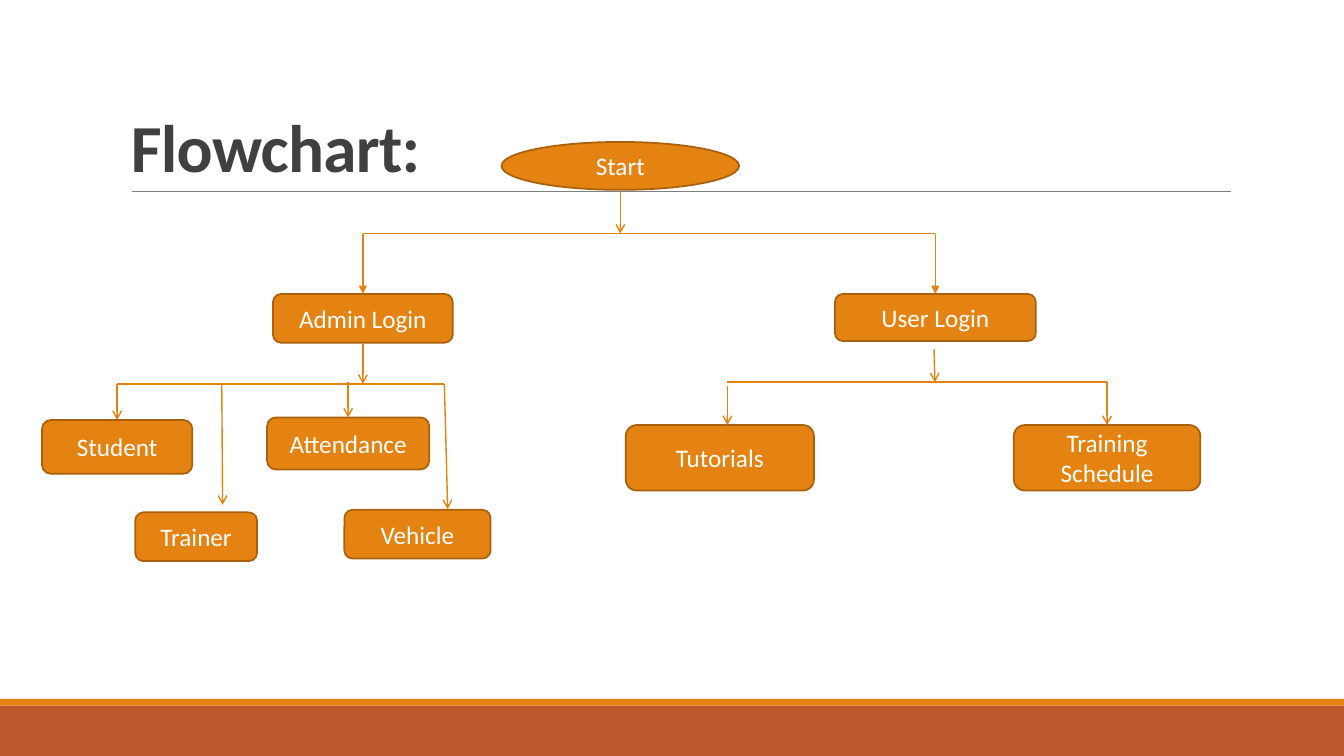
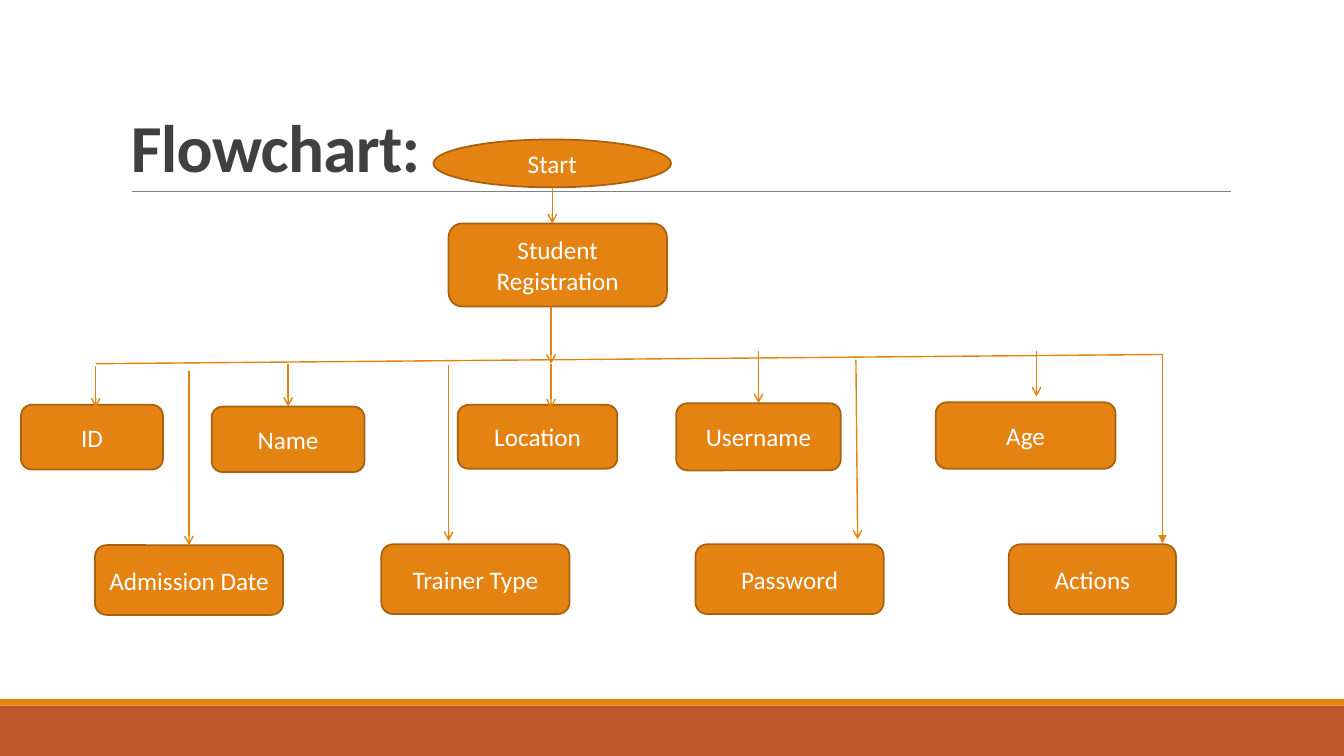
from dataclasses import dataclass

from lxml.etree import SubElement
from pptx import Presentation
from pptx.dml.color import RGBColor
from pptx.enum.shapes import MSO_CONNECTOR, MSO_SHAPE
from pptx.enum.text import MSO_ANCHOR, PP_ALIGN
from pptx.oxml.ns import qn
from pptx.util import Emu, Inches, Pt

COLUMNS, ROWS = 160, 90
CELL = Inches(1 / 12)
TOP, BOTTOM, OVAL_BOTTOM = 0, 2, 4


@dataclass(frozen=True)
class Theme:
    font: str = "Calibri"
    title_size: float = 48
    node_size: float = 18
    title: str = "404040"
    rule: str = "808080"
    accent: str = "E48312"
    node_edge: str = "A9610D"
    footer: str = "BD582C"
    on_accent: str = "FFFFFF"
    rule_width: float = 0.5
    arrow_width: float = 1
    edge_width: float = 1.25


def cells(*counts):
    """Turn grid columns or rows into slide lengths."""
    return [Emu(round(count * CELL)) for count in counts]


def middle(node):
    """Column of the node's vertical axis."""
    return (node.left + node.width / 2) / CELL


class FlowchartDeck:
    def __init__(self, theme):
        self.theme = theme
        self.deck = Presentation()
        self.deck.slide_width, self.deck.slide_height = cells(COLUMNS, ROWS)
        self.page = None

    def new_page(self, title):
        self.page = self.deck.slides.add_slide(self.deck.slide_layouts[6])
        self.shape(MSO_SHAPE.RECTANGLE, (0, 84, COLUMNS, 6), self.theme.footer)
        self.shape(MSO_SHAPE.RECTANGLE, (0, 83.2, COLUMNS, 0.8), self.theme.accent)
        self.line((15.7, 22.8), (146.5, 22.8), color=self.theme.rule,
                  width=self.theme.rule_width)
        self.title(title)

    def set_text(self, shape, text, size, color, anchor, align, bold=False):
        frame = shape.text_frame
        frame.word_wrap = True
        frame.vertical_anchor = anchor
        frame.text = text
        para = frame.paragraphs[0]
        para.alignment = align
        span = para.runs[0]
        span.font.name = self.theme.font
        span.font.size = Pt(size)
        span.font.bold = bold
        span.font.color.rgb = RGBColor.from_string(color)
        return para

    def title(self, text):
        box = self.page.shapes.add_textbox(*cells(14.4, 3.7, 132, 19.1))
        para = self.set_text(box, text, self.theme.title_size, self.theme.title,
                             MSO_ANCHOR.BOTTOM, PP_ALIGN.LEFT, bold=True)
        para.line_spacing = 0.85
        para.runs[0].font._element.set("spc", "-50")

    def shape(self, kind, area, fill):
        shape = self.page.shapes.add_shape(kind, *cells(*area))
        shape.shadow.inherit = False
        shape.fill.solid()
        shape.fill.fore_color.rgb = RGBColor.from_string(fill)
        shape.line.fill.background()
        return shape

    def node(self, text, area, kind=MSO_SHAPE.ROUNDED_RECTANGLE):
        node = self.shape(kind, area, self.theme.accent)
        node.line.color.rgb = RGBColor.from_string(self.theme.node_edge)
        node.line.width = Pt(self.theme.edge_width)
        self.set_text(node, text, self.theme.node_size, self.theme.on_accent,
                      MSO_ANCHOR.MIDDLE, PP_ALIGN.CENTER)
        return node

    def start(self, column, row):
        return self.node("Start", (column, row, 28.3, 5.7), MSO_SHAPE.OVAL)

    def line(self, start, end, head=None, color=None, width=None):
        line = self.page.shapes.add_connector(
            MSO_CONNECTOR.STRAIGHT, *cells(*start, *end))
        line.line.color.rgb = RGBColor.from_string(color or self.theme.accent)
        line.line.width = Pt(width or self.theme.arrow_width)
        properties = line._element.spPr
        if head:
            SubElement(properties.find(qn("a:ln")), qn("a:tailEnd"), type=head)
        SubElement(properties, qn("a:effectLst"))
        return line

    def arrow_into(self, node, from_row, head="arrow"):
        """Drop an arrow onto the middle of the node's top side."""
        column = middle(node)
        arrow = self.line((column, from_row), (column, node.top / CELL), head)
        arrow.end_connect(node, TOP)

    def arrow_out(self, node, to_row, site=BOTTOM):
        """Drop an arrow from the middle of the node's lower side.

        The site is only recorded by number, so an oval's lower site
        is named first and the arrow's start is then set back on it.
        """
        column = middle(node)
        bottom = (node.top + node.height) / CELL
        arrow = self.line((column, bottom), (column, to_row), "arrow")
        if site == BOTTOM:
            arrow.begin_connect(node, site)
        else:
            arrow._connect_begin_to(node, site)

    def arrows(self, routes):
        """Draw free arrows, each given as its two end points."""
        for start, end in routes:
            self.line(start, end, "arrow")


def login_page(chart):
    chart.new_page("Flowchart:")
    start = chart.start(59.7, 16.9)
    admin = chart.node("Admin Login", (32.5, 35, 21.4, 5.8))
    user = chart.node("User Login", (99.4, 35, 23.9, 5.6))
    student = chart.node("Student", (5, 50, 17.9, 6.4))
    attendance = chart.node("Attendance", (31.8, 49.7, 19.3, 6.2))
    schedule = chart.node("Training Schedule", (120.7, 50.6, 22.2, 7.8))
    chart.node("Tutorials", (74.5, 50.6, 22.4, 7.8))
    chart.node("Trainer", (16.1, 61, 14.5, 5.8))
    chart.node("Vehicle", (41, 60.7, 17.4, 5.8))

    login_rail, admin_rail, user_rail = 27.8, 45.7, 45.5
    chart.arrow_out(start, login_rail, OVAL_BOTTOM)
    chart.line((middle(admin), login_rail), (middle(user), login_rail))
    for login in (admin, user):
        chart.arrow_into(login, login_rail, "triangle")

    chart.arrow_out(admin, admin_rail)
    chart.line((middle(student), admin_rail), (52.9, admin_rail))
    chart.arrow_into(student, admin_rail)
    chart.arrow_into(attendance, 45.5)

    chart.line((86.6, user_rail), (middle(schedule), user_rail))
    chart.arrow_into(schedule, user_rail)
    chart.arrows([
        ((26.4, admin_rail), (26.5, 60.1)),
        ((52.9, admin_rail), (53.3, 60.6)),
        ((111.2, 41.6), (111.3, user_rail)),
        ((86.6, 46), (86.6, 50.6)),
    ])


def registration_page(chart):
    chart.new_page("Flowchart:")
    start = chart.start(51.6, 16.6)
    chart.node("Student Registration", (53.4, 26.6, 26, 9.9))
    chart.node("ID", (2.5, 48.2, 16.9, 7.7))
    name = chart.node("Name", (25.2, 48.4, 18.2, 7.8))
    chart.node("Location", (54.5, 48.2, 19, 7.6))
    username = chart.node("Username", (80.5, 48, 19.6, 8))
    chart.node("Age", (111.4, 47.9, 21.4, 7.9))
    admission = chart.node("Admission Date", (11.3, 64.9, 22.4, 8.3))
    for text, column, width in (("Trainer Type", 45.4, 22.4),
                                ("Password", 82.8, 22.4),
                                ("Actions", 120.1, 19.9)):
        chart.node(text, (column, 64.8, width, 8.3))

    chart.arrow_out(start, 26.6, OVAL_BOTTOM)
    chart.line((11.4, 43.3), (138.4, 42.2))
    for field, from_row in ((name, 43.3), (username, 41.8), (admission, 44.2)):
        chart.arrow_into(field, from_row)
    chart.arrows([
        ((65.6, 36.5), (65.6, 43.3)),
        ((65.6, 43.3), (65.6, 48.6)),
        ((11.4, 43.6), (11.4, 48.5)),
        ((123.4, 41.8), (123.4, 47.2)),
        ((53.4, 43.4), (53.4, 64.4)),
        ((101.9, 42.8), (102.1, 64.2)),
    ])
    chart.line((138.4, 42.2), (138.4, 64.7), "triangle")


def main():
    chart = FlowchartDeck(Theme())
    login_page(chart)
    registration_page(chart)
    chart.deck.save("out.pptx")


if __name__ == "__main__":
    main()
